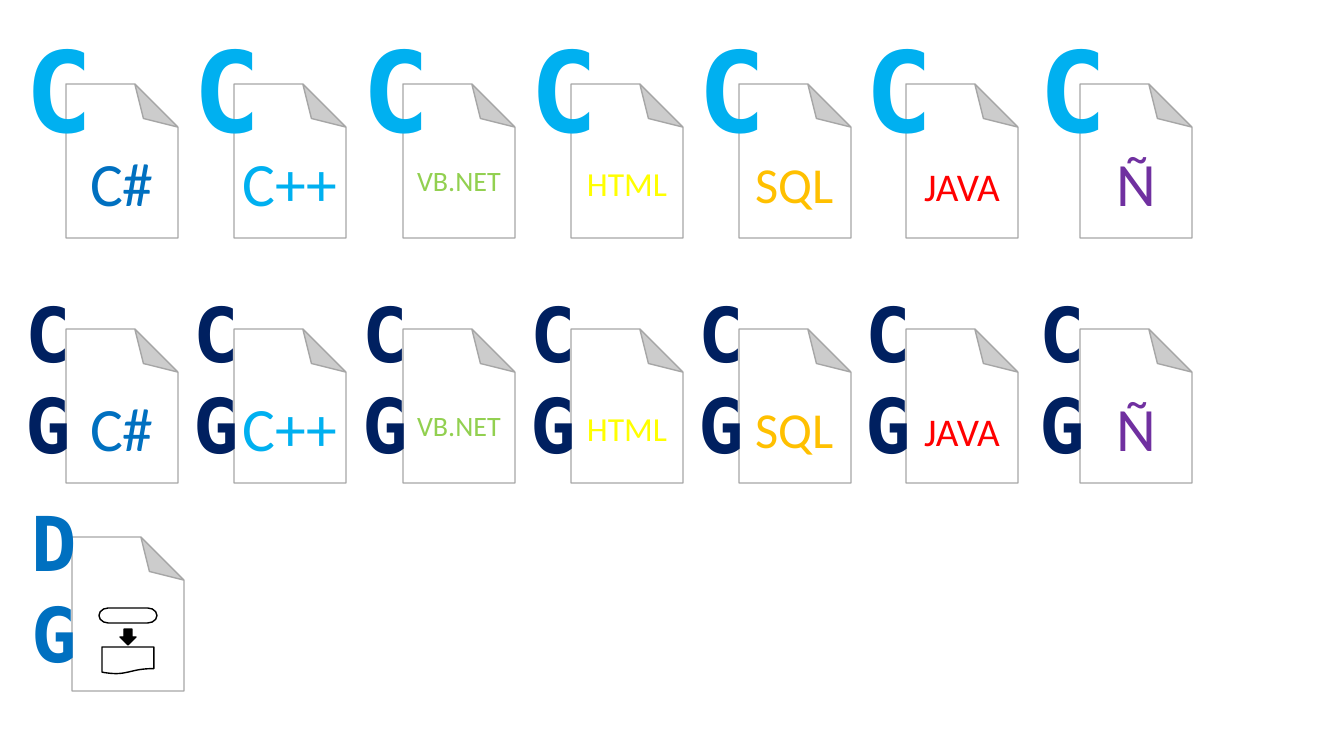
from lxml import etree
from pptx import Presentation
from pptx import util as u
from pptx.dml.color import RGBColor
from pptx.enum import shapes, text
from pptx.oxml.ns import qn

WHITE = RGBColor(0xFF, 0xFF, 0xFF)
BLACK = RGBColor(0x00, 0x00, 0x00)
GREY = RGBColor(0xA6, 0xA6, 0xA6)
NAVY = RGBColor(0x00, 0x20, 0x60)
BLUE = RGBColor(0x00, 0x70, 0xC0)
SKY = RGBColor(0x00, 0xB0, 0xF0)
GREEN = RGBColor(0x92, 0xD0, 0x50)
YELLOW = RGBColor(0xFF, 0xFF, 0x00)
ORANGE = RGBColor(0xFF, 0xC0, 0x00)
RED = RGBColor(0xFF, 0x00, 0x00)
PURPLE = RGBColor(0x70, 0x30, 0xA0)

SCALE = 914400 / 100.8
PAGE_W, PAGE_H = 112, 154
MONO, SANS = "DejaVu Sans Mono", "Calibri"
MSO = shapes.MSO_SHAPE

# page left, label, size in points, colour, label width, label top within the page
LANGUAGES = [
    (66, "C#", 44, BLUE, 85, 56),
    (234, "C++", 44, SKY, 116, 56),
    (403, "VB.NET", 20, GREEN, 105, 75),
    (571, "HTML", 24, YELLOW, 102, 74),
    (739, "SQL", 36, ORANGE, 100, 64),
    (906, "JAVA", 28, RED, 97, 73),
    (1080, "Ñ", 44, PURPLE, 60, 56),
]
# page top, badge, size in points, colour, badge width, height, rise above the page
ROWS = [
    (84, "C", 80, SKY, 83, 146, 68),
    (329, "CG", 54, NAVY, 105, 102, 47),
]
DIAGRAM_LEFT = 72
DIAGRAM_ROW = (537, "DG", 54, BLUE, 105, 102, 46)
# preset, left, top, width, height, fill
FLOWCHART = [
    (MSO.FLOWCHART_TERMINATOR, 99, 608, 58, 15, WHITE),
    (MSO.FLOWCHART_DOCUMENT, 102, 647, 52, 27, WHITE),
    (MSO.DOWN_ARROW, 120, 629, 16, 16, BLACK),
]


def px(*lengths):
    return [u.Emu(round(n * SCALE)) for n in lengths]


def add_preset(group, preset, box, fill, line):
    sp = group.shapes.add_shape(preset, *px(*box))
    sp.shadow.inherit = False
    sp.fill.solid()
    sp.fill.fore_color.rgb = fill
    sp.line.color.rgb = line
    sp.line.width = u.Pt(1)
    return sp


def add_text(group, words, box, size, color, font, bold=False, wrap=False, align=text.PP_ALIGN.LEFT):
    tf = group.shapes.add_textbox(*px(*box)).text_frame
    tf.word_wrap = wrap
    p = tf.paragraphs[0]
    p.alignment = align
    r = p.add_run()
    r.text = words
    r.font.size = u.Pt(size)
    r.font.name = font
    r.font.bold = bold
    r.font.color.rgb = color


def add_file(s, left, row):
    """Group a page, folded at its top right, with the badge on its left edge."""
    top, badge, size, color, width, height, rise = row
    group = s.shapes.add_group_shape()
    page = add_preset(group, MSO.FOLDED_CORNER, (left, top, PAGE_W, PAGE_H), WHITE, GREY)
    page.rotation = 180
    spPr = page._element.spPr
    spPr.get_or_add_xfrm().set("flipH", "1")
    fold = spPr.find(qn("a:prstGeom")).find(qn("a:avLst"))
    etree.SubElement(fold, qn("a:gd"), name="adj", fmla="val 38500")
    # The narrow box stacks the letters of a two-letter badge
    add_text(group, badge, (left - 50, top - rise, width, height), size, color, MONO,
             bold=True, wrap=True)
    return group


def main():
    prs = Presentation()
    prs.slide_width, prs.slide_height = px(1344, 756)
    s = prs.slides.add_slide(prs.slide_layouts[6])

    for row in ROWS:
        for left, label, size, color, width, drop in LANGUAGES:
            group = add_file(s, left, row)
            height = round(size * 1.71 + 10)
            box = (left + (PAGE_W - width) / 2, row[0] + drop, width, height)
            add_text(group, label, box, size, color, SANS, align=text.PP_ALIGN.CENTER)

    group = add_file(s, DIAGRAM_LEFT, DIAGRAM_ROW)
    for preset, *box, fill in FLOWCHART:
        add_preset(group, preset, box, fill, BLACK)

    prs.save("out.pptx")


if __name__ == "__main__":
    main()
